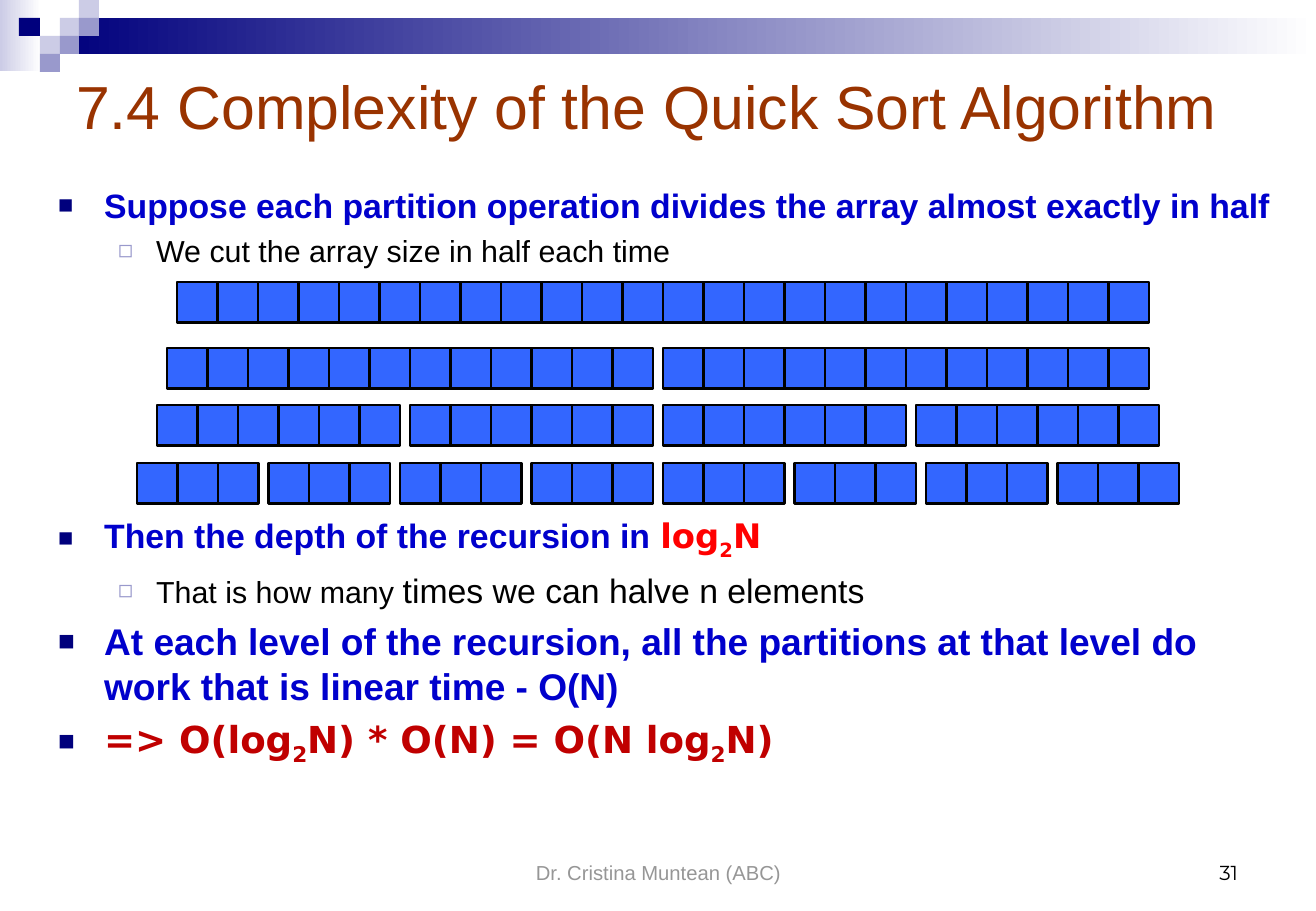
from lxml import etree
from pptx import Presentation
from pptx.dml.color import RGBColor
from pptx.enum.shapes import MSO_SHAPE
from pptx.enum.text import MSO_ANCHOR, MSO_AUTO_SIZE, PP_ALIGN
from pptx.oxml.ns import qn
from pptx.util import Emu, Pt

RECT = MSO_SHAPE.RECTANGLE
TOP, MIDDLE, BOTTOM = MSO_ANCHOR.TOP, MSO_ANCHOR.MIDDLE, MSO_ANCHOR.BOTTOM
LEFT, CENTER, RIGHT = PP_ALIGN.LEFT, PP_ALIGN.CENTER, PP_ALIGN.RIGHT
NO_FIT = MSO_AUTO_SIZE.NONE

SCALE = 914400 / 121.5
NAVY, LILAC, PALE, WHITE = "00007D", "9999CC", "CCCCE6", "FFFFFF"
BLUE, RED, DARK_RED, BLACK = "0000CC", "FF0000", "C00000", "000000"
MATH = "DejaVu Sans"

# Array rows: left, top, number of partitions, cells in each partition
ARRAY_ROWS = [(177, 282, 1, 24), (167, 348, 2, 12),
              (157, 405, 4, 6), (137, 463, 8, 3)]
CELL, PARTITION_GAP = 40.5, 10

# Corner squares: column, row, colour
COLUMNS, ROWS = [19, 40, 60, 79, 99], [0, 18, 36, 54, 72]
SQUARES = [(2, 1, PALE), (3, 0, PALE), (3, 1, LILAC), (1, 2, PALE),
           (0, 1, NAVY), (2, 2, LILAC), (1, 3, LILAC)]

# Bullet level: left margin, hanging indent, character, colour, size in %
BULLETS = [(46, 46, "\u25a0", NAVY, 75), (98, 38, "\u25fb", LILAC, 80)]


def px(n):
    """Turn pixels into EMU."""
    return Emu(round(n * SCALE))


def rgb(hex_text):
    """Turn a hex string into a colour."""
    return RGBColor.from_string(hex_text)


def add_box(s, x, y, w, h, fill, fade_to=None, line=None):
    """Add a rectangle with a flat fill or a left-to-right fade."""
    sp = s.shapes.add_shape(RECT, px(x), px(y), px(w), px(h))
    sp.shadow.inherit = False
    if fade_to:
        sp.fill.gradient()
        sp.fill.gradient_angle = 0
        for stop, colour in zip(sp.fill.gradient_stops, (fill, fade_to)):
            stop.color.rgb = rgb(colour)
    else:
        sp.fill.solid()
        sp.fill.fore_color.rgb = rgb(fill)
    if line:
        sp.line.color.rgb = rgb(line)
        sp.line.width = Pt(1.25)
    else:
        sp.line.fill.background()


def add_run(p, text, size=20, color=BLACK, font="Arial", bold=False, sub=False):
    """Add formatted text to a paragraph."""
    r = p.add_run()
    r.text = text
    r.font.size, r.font.name, r.font.bold = Pt(size), font, bold
    r.font.color.rgb = rgb(color)
    if sub:
        r._r.get_or_add_rPr().set("baseline", "-25000")


def add_log(p, parts, **fmt):
    """Add bold formula text with a subscript 2 between its parts."""
    for i, part in enumerate(parts):
        if i:
            add_run(p, "2", font=MATH, bold=True, sub=True, **fmt)
        add_run(p, part, font=MATH, bold=True, **fmt)


def place(sp, x, y, w, h, anchor):
    """Set the position and frame of a text shape and return its frame."""
    sp.left, sp.top, sp.width, sp.height = px(x), px(y), px(w), px(h)
    tf = sp.text_frame
    tf.word_wrap, tf.auto_size, tf.vertical_anchor = True, NO_FIT, anchor
    return tf


def add_label(s, x, y, w, h, text, align, **fmt):
    """Add a one-line text box that sits at the foot of its frame."""
    tf = place(s.shapes.add_textbox(0, 0, 0, 0), x, y, w, h, BOTTOM)
    p = tf.paragraphs[0]
    p.alignment = align
    add_run(p, text, size=12, **fmt)


def add_item(tf, level=0, before=5):
    """Start a bulleted paragraph, with the space before it in points."""
    p = tf.paragraphs[0]
    if p.runs:
        p = tf.add_paragraph()
    p.level, p.alignment, p.space_before = level, LEFT, Pt(before)
    margin, hang, char, colour, percent = BULLETS[level]
    pPr = p._p.get_or_add_pPr()
    pPr.set("marL", str(px(margin)))
    pPr.set("indent", str(-px(hang)))
    clr = etree.SubElement(pPr, qn("a:buClr"))
    etree.SubElement(clr, qn("a:srgbClr"), val=colour)
    etree.SubElement(pPr, qn("a:buSzPct"), val=str(percent * 1000))
    etree.SubElement(pPr, qn("a:buFont"), typeface="Arial")
    etree.SubElement(pPr, qn("a:buChar"), char=char)
    return p


def add_banner(s):
    """Draw the fading bar and the corner squares."""
    add_box(s, 0, 0, 41, 71, PALE, fade_to=WHITE)
    add_box(s, 60, 18, 1256, 36, NAVY, fade_to=WHITE)
    for c, r, colour in SQUARES:
        x, y = COLUMNS[c], ROWS[r]
        add_box(s, x, y, COLUMNS[c + 1] - x, ROWS[r + 1] - y, colour)


def add_array_row(s, left, top, partitions, cells):
    """Draw one level of the recursion as partitions of equal cells."""
    for part in range(partitions):
        start = left + part * (cells * CELL + PARTITION_GAP)
        for i in range(cells):
            add_box(s, start + i * CELL, top, CELL, CELL, "3366FF", line=BLACK)


def fill_body(tf):
    """Write the bulleted argument, leaving room for the array rows."""
    add_run(add_item(tf), "Suppose each partition operation divides the array "
            "almost exactly in half", color=BLUE, bold=True)
    add_run(add_item(tf, 1, 4), "We cut the array size in half each time", size=18)

    p = add_item(tf, before=146)
    add_run(p, "Then the depth of the recursion in ", color=BLUE, bold=True)
    add_log(p, ["log", "N"], color=RED)
    p = add_item(tf, 1)
    add_run(p, "That is how many ", size=18)
    add_run(p, "times we can halve n elements")

    add_run(add_item(tf), "At each level of the recursion, all the partitions at "
            "that level do work that is linear time - O(N)",
            size=22, color=BLUE, bold=True)
    add_log(add_item(tf), ["=> O(log", "N) * O(N) = O(N log", "N)"],
            size=22, color=DARK_RED)


def main():
    """Build the slide and save it."""
    prs = Presentation()
    prs.slide_width, prs.slide_height = px(1316), px(911)
    s = prs.slides.add_slide(prs.slide_layouts[1])
    add_banner(s)

    tf = place(s.shapes.title, 64, 51, 1234, 108, MIDDLE)
    p = tf.paragraphs[0]
    p.alignment = LEFT
    add_run(p, "7.4 Complexity of the Quick Sort Algorithm", size=36, color="993300")

    fill_body(place(s.placeholders[1], 46, 179, 1254, 612, TOP))
    for row in ARRAY_ROWS:
        add_array_row(s, *row)

    add_label(s, 450, 830, 417, 61, "Dr. Cristina Muntean (ABC)", CENTER,
              color="969696")
    add_label(s, 943, 830, 307, 61, "31", RIGHT, font="Montserrat")
    prs.save("out.pptx")


main()
